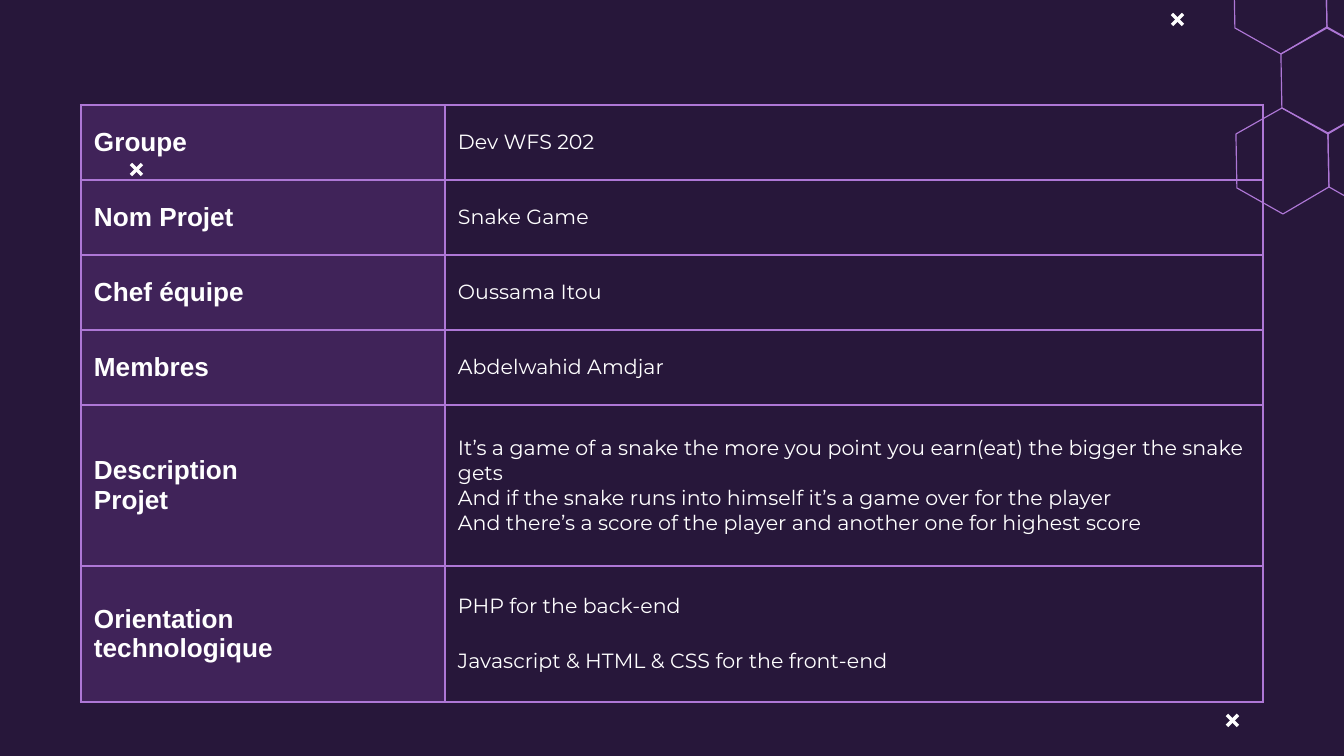
"""Build the project summary slide with its table, hexagons and crosses."""
from lxml import etree
from pptx import Presentation
from pptx.dml.color import RGBColor
from pptx.enum.shapes import MSO_CONNECTOR
from pptx.enum.text import MSO_ANCHOR
from pptx.oxml.ns import qn
from pptx.util import Pt

PX = 914400 / 134.4
MIDDLE = MSO_ANCHOR.MIDDLE
STRAIGHT = MSO_CONNECTOR.STRAIGHT
THEME = {
    "back": RGBColor.from_string("27173A"),
    "label": RGBColor.from_string("733C9B"),
    "edge": RGBColor.from_string("AE77D6"),
    "text": RGBColor.from_string("FFFFFF"),
    "head": {"font": "Arial", "size": 14, "bold": True},
    "body": {"font": "Montserrat", "size": 11, "bold": False},
}


def px(num):
    return round(num * PX)


def write(cell, text, font, size, bold, after=0):
    cell.vertical_anchor = MIDDLE
    cell.margin_left = cell.margin_right = px(13)
    cell.margin_top = cell.margin_bottom = px(13)
    frame = cell.text_frame
    frame.text = text
    for para in frame.paragraphs:
        para.space_after = Pt(after)
        for run in para.runs:
            run.font.name = font
            run.font.size = Pt(size)
            run.font.bold = bold
            run.font.color.rgb = THEME["text"]


deck = Presentation()
deck.slide_width, deck.slide_height = px(1344), px(756)
slide = deck.slides.add_slide(deck.slide_layouts[6])
slide.background.fill.solid()
slide.background.fill.fore_color.rgb = THEME["back"]

corners = [(46, -28), (47, 26), (1, 53), (-45, 27), (-46, -27), (0, -53)]
centers = [(1282, 161), (1374, 160), (1327, 81), (1280, 1), (1372, 0)]
hexes = slide.shapes.add_group_shape()
for x, y in centers:
    points = [(x + dx, y + dy) for dx, dy in corners]
    pen = hexes.shapes.build_freeform(*points[0], scale=PX)
    pen.add_line_segments(points[1:], close=True)
    cell = pen.convert_to_shape()
    cell.shadow.inherit = False
    cell.fill.background()
    cell.line.color.rgb = THEME["edge"]
    cell.line.width = Pt(0.61)

rows = [
    (75, "Groupe", "Dev WFS 202", 16),
    (75, "Nom Projet", "Snake Game", 16),
    (75, "Chef équipe", "Oussama Itou", 16),
    (75, "Membres", "Abdelwahid Amdjar", 16),
    (161, "Description\nProjet",
     "It’s a game of a snake the more you point you earn(eat) the bigger the snake gets\n"
     "And if the snake runs into himself it’s a game over for the player\n"
     "And there’s a score of the player and another one for highest score", 0),
    (136, "Orientation\ntechnologique",
     "PHP for the back-end\nJavascript & HTML & CSS for the front-end", 16),
]
widths = [364, 818]
high = sum(row[0] for row in rows)
table = slide.shapes.add_table(len(rows), 2, px(81), px(105), px(sum(widths)), px(high)).table
table.first_row = table.horz_banding = False
for col, width in zip(table.columns, widths):
    col.width = px(width)
for row, (tall, label, text, after) in zip(table.rows, rows):
    row.height = px(tall)
    head, body = row.cells
    write(head, label, **THEME["head"])
    write(body, text, after=after, **THEME["body"])
    for cell in (head, body):
        props = cell._tc.get_or_add_tcPr()
        for side in "LRTB":
            edge = etree.SubElement(props, qn(f"a:ln{side}"), w=str(Pt(1.5)))
            paint = etree.SubElement(edge, qn("a:solidFill"))
            etree.SubElement(paint, qn("a:srgbClr"), val=str(THEME["edge"]))
    body.fill.background()
    head.fill.solid()
    head.fill.fore_color.rgb = THEME["label"]
    tint = head._tc.tcPr.find(qn("a:solidFill"))[0]
    etree.SubElement(tint, qn("a:alpha"), val="33000")

for x, y in [(1172, 14), (1227, 715), (131, 164)]:
    cross = slide.shapes.add_group_shape()
    for top, end in [(y + 11, y), (y, y + 11)]:
        bar = cross.shapes.add_connector(STRAIGHT, px(x), px(top), px(x + 11), px(end))
        bar.line.color.rgb = THEME["text"]
        bar.line.width = Pt(1.84)
        etree.SubElement(bar._element.spPr, qn("a:effectLst"))

deck.save("out.pptx")
